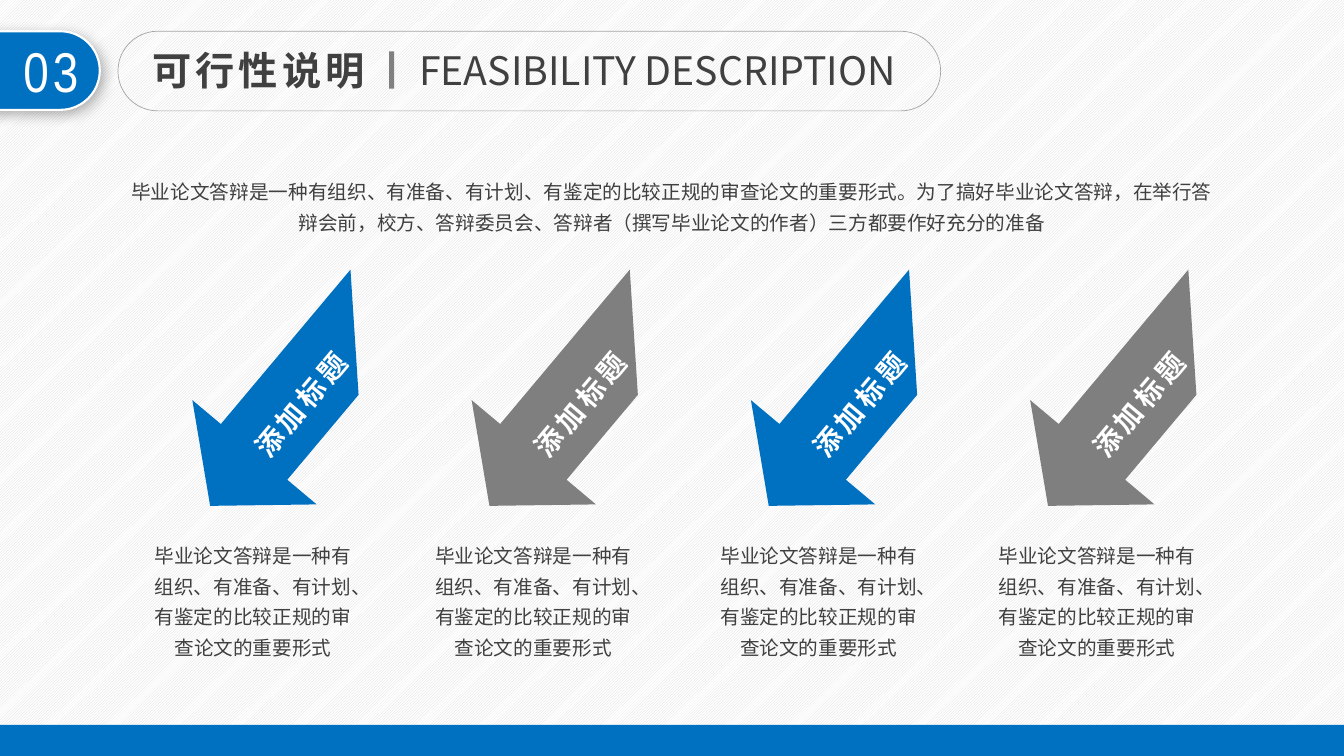
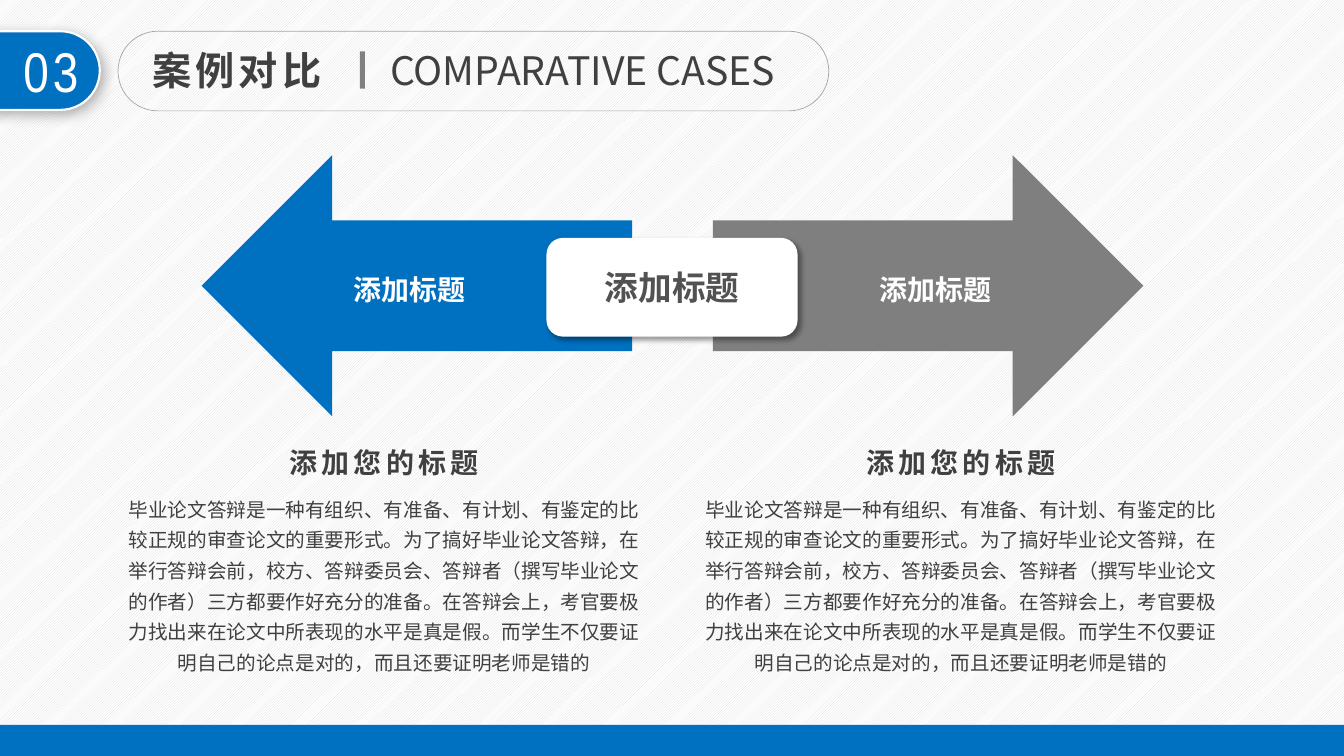
from lxml import etree
from pptx import Presentation
from pptx.dml.color import RGBColor
from pptx.enum.dml import MSO_PATTERN
from pptx.enum.shapes import MSO_SHAPE as SHAPE
from pptx.enum.text import MSO_ANCHOR as ANCHOR, MSO_AUTO_SIZE as AUTO_SIZE, PP_ALIGN as ALIGN
from pptx.oxml.ns import qn
from pptx.util import Pt

PX = 9144  # one px is a hundredth of an inch
WIDTH, HEIGHT = 1333, 750

BLUE = RGBColor(0x00, 0x70, 0xC0)
GREY = RGBColor(0x7F, 0x7F, 0x7F)
DIVIDER = RGBColor(0x80, 0x80, 0x80)
OUTLINE = RGBColor(0xA6, 0xA6, 0xA6)
PATTERN = RGBColor(0xD9, 0xD9, 0xD9)
INK = RGBColor(0x40, 0x40, 0x40)
HUB_INK = RGBColor(0x52, 0x52, 0x52)
WHITE = RGBColor(0xFF, 0xFF, 0xFF)
BLACK = RGBColor(0x00, 0x00, 0x00)

HEAD_FONT, BODY_FONT, NUMBER_FONT = "Noto Sans CJK SC", "Arial", "Arial Narrow"

SECTION = "03"
LABEL = "添加标题"
HEADING = "添加您的标题"
CAPTION = "毕业论文答辩是一种有组织、有准备、有计划、有鉴定的比较正规的审查论文的重要形式"
INTRO = CAPTION + ("。为了搞好毕业论文答辩，在举行答辩会前，校方、答辩委员会、"
                   "答辩者（撰写毕业论文的作者）三方都要作好充分的准备")
DETAIL = INTRO + ("。在答辩会上，考官要极力找出来在论文中所表现的水平是真是假。"
                  "而学生不仅要证明自己的论点是对的，而且还要证明老师是错的")

FEASIBILITY = dict(title="可行性说明", title_width=249, subtitle="FEASIBILITY DESCRIPTION",
                   subtitle_width=511, divider_left=386, capsule_width=816)
CASES = dict(title="案例对比", title_width=196, subtitle="COMPARATIVE CASES",
             subtitle_width=429, divider_left=357, capsule_width=705)

ARROW_OUTLINE = [(37, 0), (123, 90), (123, 200), (161, 200), (81, 269), (0, 200), (37, 200)]
ARROW_LEFT, ARROW_TOP, ARROW_STEP = 214, 264, 277
ARROW_COLORS = [BLUE, GREY, BLUE, GREY]
CAPTION_LEFTS = [143, 421, 704, 980]

# kind, left, colour, inset on the tail side
CASE_ARROWS = [(SHAPE.LEFT_ARROW, 200, BLUE, "margin_right"),
               (SHAPE.RIGHT_ARROW, 707, GREY, "margin_left")]
CASE_LEFTS = [117, 689]
CASE_WIDTH, HEADING_WIDTH = 528, 214


def emu(*lengths):
    return [length * PX for length in lengths]


def write(shape, text, size, color=INK, font=HEAD_FONT, bold=False, spacing=0,
          align=ALIGN.CENTER, line_spacing=None, anchor=ANCHOR.MIDDLE):
    frame = shape.text_frame
    frame.text = text
    frame.word_wrap = True
    frame.vertical_anchor = anchor
    para = frame.paragraphs[0]
    para.alignment = align
    if line_spacing:
        para.line_spacing = line_spacing
    span = para.runs[0]
    span.font.size = Pt(size)
    span.font.bold = bold
    span.font.color.rgb = color
    span.font.name = font
    props = span.font._element
    if spacing:
        props.set("spc", str(spacing * 100))
    etree.SubElement(props, qn("a:ea")).set("typeface", font)


def add_text(page, place, text, size, wrap=True, **style):
    box = page.shapes.add_textbox(*emu(*place))
    write(box, text, size, anchor=ANCHOR.TOP, **style)
    box.text_frame.word_wrap = wrap
    box.text_frame.auto_size = AUTO_SIZE.SHAPE_TO_FIT_TEXT


def add_body(page, place, text):
    add_text(page, place, text, 14, font=BODY_FONT, line_spacing=1.3)


def paint(shape, fill=None, line=None, line_width=0):
    shape.shadow.inherit = False
    if fill is None:
        shape.fill.background()
    else:
        shape.fill.solid()
        shape.fill.fore_color.rgb = fill
    if line is None:
        shape.line.fill.background()
    else:
        shape.line.color.rgb = line
        shape.line.width = Pt(line_width)
    return shape


def add_shape(page, kind, place, **look):
    return paint(page.shapes.add_shape(kind, *emu(*place)), **look)


def cast_shadow(shape, alpha, blur, distance):
    """Add a black shadow to the lower right; blur and distance in points."""
    effects = shape._element.spPr.find(qn("a:effectLst"))
    shadow = etree.SubElement(effects, qn("a:outerShdw"), blurRad=str(Pt(blur)),
                              dist=str(Pt(distance)), dir="2700000", algn="tl",
                              rotWithShape="0")
    color = etree.SubElement(shadow, qn("a:srgbClr"), val=str(BLACK))
    etree.SubElement(color, qn("a:alpha"), val=str(alpha * 1000))


def add_page(deck, title, title_width, subtitle, subtitle_width, divider_left, capsule_width):
    """Add a slide with the section badge, title capsule and bottom band."""
    page = deck.slides.add_slide(deck.slide_layouts.get_by_name("Title Only"))
    badge = add_shape(page, SHAPE.ROUNDED_RECTANGLE, (-112, 31, 211, 78),
                      fill=BLUE, line=WHITE, line_width=1.5)
    badge.adjustments[0] = 0.5
    cast_shadow(badge, 30, 10, 4)
    add_text(page, (2, 31, 97, 77), SECTION, 40, color=WHITE, font=NUMBER_FONT, spacing=3)

    capsule = add_shape(page, SHAPE.ROUNDED_RECTANGLE, (117, 31, capsule_width, 79),
                        line=OUTLINE, line_width=0.5)
    capsule.adjustments[0] = 0.5
    heading = page.shapes.title
    heading.left, heading.top, heading.width, heading.height = emu(141, 41, title_width, 57)
    write(heading, title, 28, bold=True, spacing=3, align=ALIGN.LEFT, anchor=ANCHOR.TOP)
    heading.text_frame.auto_size = AUTO_SIZE.SHAPE_TO_FIT_TEXT
    add_shape(page, SHAPE.RECTANGLE, (divider_left, 51, 5, 37), fill=DIVIDER)
    add_text(page, (divider_left + 20, 41, subtitle_width, 57), subtitle, 28,
             wrap=False, align=ALIGN.LEFT)
    add_shape(page, SHAPE.RECTANGLE, (0, 719, WIDTH, 31), fill=BLUE)
    return page


def add_feasibility(deck):
    page = add_page(deck, **FEASIBILITY)
    add_body(page, (114, 167, 1105, 71), INTRO)
    for index, (color, caption_left) in enumerate(zip(ARROW_COLORS, CAPTION_LEFTS)):
        builder = page.shapes.build_freeform(*ARROW_OUTLINE[0], scale=PX)
        builder.add_line_segments(ARROW_OUTLINE[1:], close=True)
        left = ARROW_LEFT + index * ARROW_STEP
        arrow = paint(builder.convert_to_shape(*emu(left, ARROW_TOP)), fill=color)
        arrow.rotation = 40
        write(arrow, LABEL, 20, color=WHITE, bold=True, spacing=3, line_spacing=1.3)
        arrow.text_frame._txBody.bodyPr.set("vert", "vert270")
        add_body(page, (caption_left, 528, 216, 133), CAPTION)


def add_cases(deck):
    page = add_page(deck, **CASES)
    for kind, left, color, tail_margin in CASE_ARROWS:
        arrow = add_shape(page, kind, (left, 154, 427, 259), fill=color)
        write(arrow, LABEL, 20, color=WHITE, bold=True, line_spacing=1.2)
        frame = arrow.text_frame
        frame.margin_left = frame.margin_right = frame.margin_top = frame.margin_bottom = 0
        setattr(frame, tail_margin, 79 * PX)
    hub = add_shape(page, SHAPE.ROUNDED_RECTANGLE, (542, 236, 249, 98), fill=WHITE)
    cast_shadow(hub, 40, 4, 3)
    write(hub, LABEL, 24, color=HUB_INK, bold=True)
    for left in CASE_LEFTS:
        heading_left = left + (CASE_WIDTH - HEADING_WIDTH) // 2
        add_text(page, (heading_left, 437, HEADING_WIDTH, 44), HEADING, 20,
                 wrap=False, bold=True, spacing=3)
        add_body(page, (left, 482, CASE_WIDTH, 194), DETAIL)


def main():
    deck = Presentation()
    deck.slide_width, deck.slide_height = emu(WIDTH, HEIGHT)
    backdrop = deck.slide_master.background.fill
    backdrop.patterned()
    backdrop.pattern = MSO_PATTERN.LIGHT_UPWARD_DIAGONAL
    backdrop.fore_color.rgb = PATTERN
    backdrop.back_color.rgb = WHITE
    add_feasibility(deck)
    add_cases(deck)
    deck.save("out.pptx")


if __name__ == "__main__":
    main()
